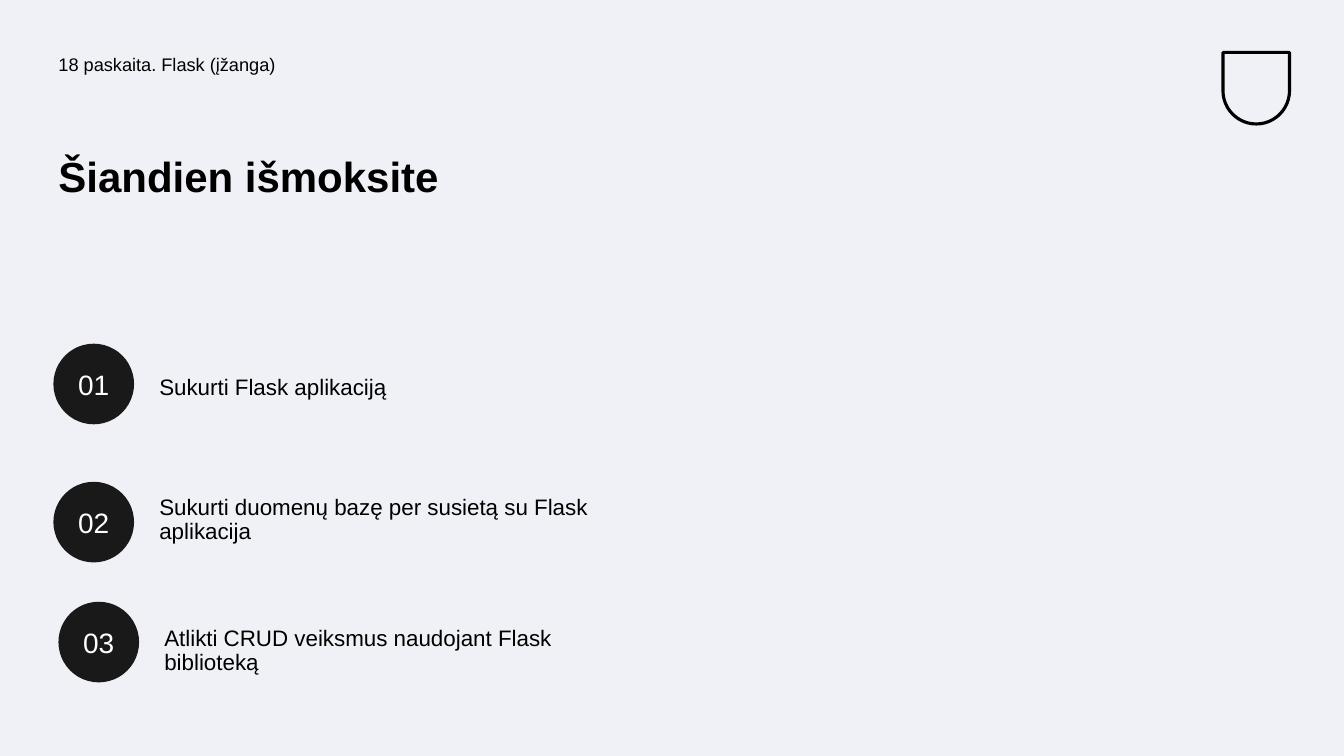
from typing import NamedTuple

from pptx import Presentation
from pptx.dml.color import RGBColor
from pptx.enum.shapes import MSO_SHAPE as Preset
from pptx.enum.text import MSO_ANCHOR as Anchor, MSO_AUTO_SIZE as AutoSize, PP_ALIGN as Align
from pptx.util import Inches, Pt

BACKGROUND, INK, DISC, NUMERAL = "F0F1F6", "000000", "191919", "FEFFFF"
DISC_SIZE = 0.8
TEXT_OFFSET = 1.0  # from the left of a disc to the left of its goal


class Goal(NamedTuple):
    wording: str
    left: float
    disc_top: float
    text_top: float


GOALS = [
    Goal("Sukurti Flask aplikaciją", 0.53, 3.41, 3.68),
    Goal("Sukurti duomenų bazę per susietą su Flask aplikacija", 0.53, 4.78, 4.87),
    Goal("Atlikti CRUD veiksmus naudojant Flask biblioteką", 0.58, 5.97, 6.17),
]


def color(hex_code: str) -> RGBColor:
    return RGBColor.from_string(hex_code)


def apply(target, values: dict) -> None:
    for name, value in values.items():
        setattr(target, name, value)


def place(shape, left: float, top: float, width: float, height: float) -> None:
    apply(shape, {"left": Inches(left), "top": Inches(top),
                  "width": Inches(width), "height": Inches(height)})


def write(shape, wording: str, size: float, ink: str = INK, bold: bool = False,
          anchor=Anchor.TOP, **paragraph_format) -> None:
    frame = shape.text_frame
    frame.text = wording
    margins = {f"margin_{side}": Inches(0.05) for side in ("left", "top", "right", "bottom")}
    apply(frame, {"word_wrap": True, "auto_size": AutoSize.NONE,
                  "vertical_anchor": anchor, **margins})
    paragraph = frame.paragraphs[0]
    apply(paragraph, paragraph_format)
    font = paragraph.runs[0].font
    apply(font, {"name": "Arial", "size": Pt(size), "bold": bold})
    font.color.rgb = color(ink)


def add_body(slide, wording: str, left: float, top: float, width: float,
             height: float, size: float) -> None:
    body = slide.shapes.add_textbox(*map(Inches, (left, top, width, height)))
    write(body, wording, size, alignment=Align.LEFT, line_spacing=0.9, space_before=Pt(10))


def add_goal(slide, number: int, goal: Goal) -> None:
    add_body(slide, goal.wording, goal.left + TEXT_OFFSET, goal.text_top, 4.63, 0.5, 16)
    disc = slide.shapes.add_shape(
        Preset.OVAL, *map(Inches, (goal.left, goal.disc_top, DISC_SIZE, DISC_SIZE)))
    disc.shadow.inherit = False
    disc.fill.solid()
    disc.fill.fore_color.rgb = color(DISC)
    disc.line.fill.background()
    write(disc, f"{number:02}", 20, NUMERAL, anchor=Anchor.MIDDLE, alignment=Align.CENTER)


def add_emblem(slide) -> None:
    shield = slide.shapes.add_shape(
        Preset.ROUND_2_SAME_RECTANGLE, *map(Inches, (12.13, 0.52, 0.66, 0.71)))
    shield.adjustments[0], shield.adjustments[1] = 0, 0.5
    shield.shadow.inherit = False
    shield.fill.background()
    shield.line.color.rgb = color(INK)
    shield.line.width = Pt(2.25)


def main() -> None:
    deck = Presentation()
    apply(deck, {"slide_width": Inches(13.33), "slide_height": Inches(7.5)})
    slide = deck.slides.add_slide(deck.slide_layouts[5])
    slide.background.fill.solid()
    slide.background.fill.fore_color.rgb = color(BACKGROUND)

    # Header: emblem, lecture name and title
    add_emblem(slide)
    add_body(slide, "18 paskaita. Flask (įžanga)", 0.53, 0.5, 6.14, 0.49, 13)
    heading = slide.shapes.title
    place(heading, 0.53, 1.5, 5.63, 1.49)
    write(heading, "Šiandien išmoksite", 30, bold=True,
          alignment=Align.LEFT, line_spacing=0.9, space_before=Pt(0))

    # Numbered goals
    for number, goal in enumerate(GOALS, start=1):
        add_goal(slide, number, goal)

    deck.save("out.pptx")


if __name__ == "__main__":
    main()
